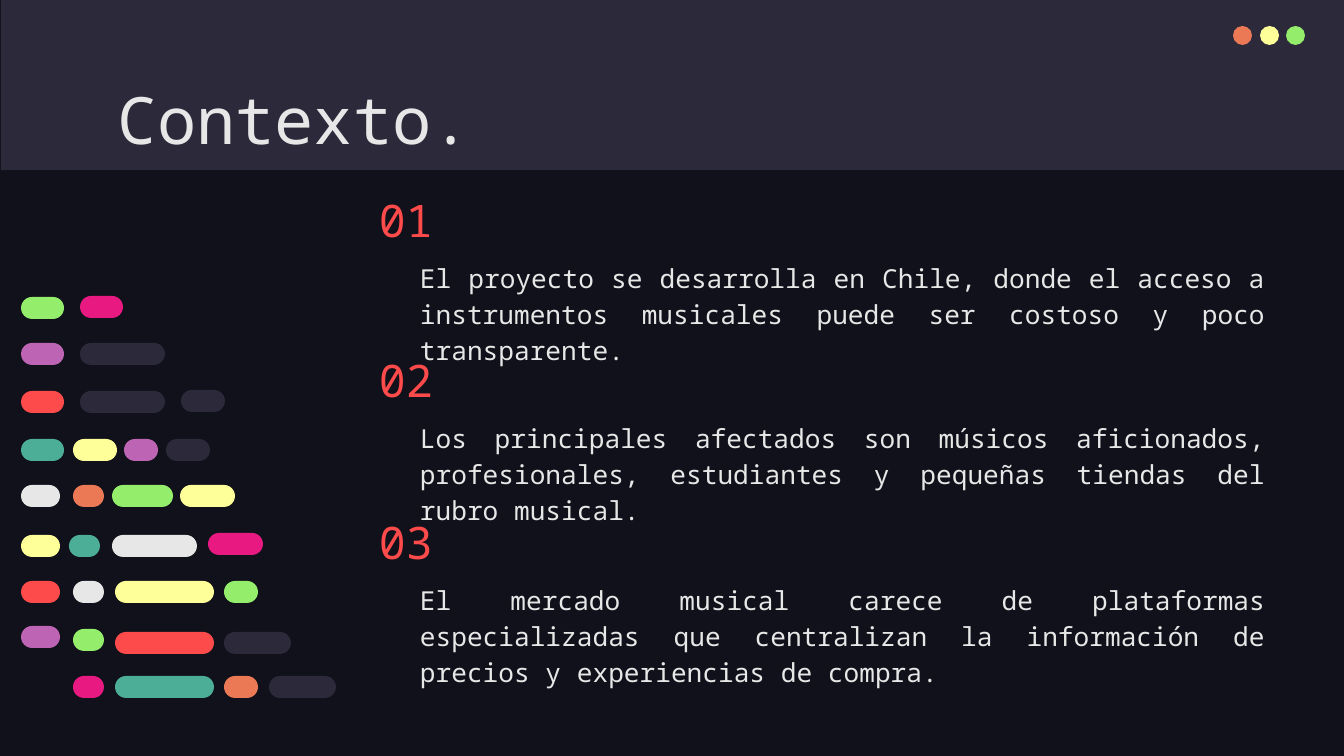
from pptx import Presentation
from pptx.dml.color import RGBColor
from pptx.enum.shapes import MSO_SHAPE as Shape
from pptx.enum.text import MSO_ANCHOR as Anchor, PP_ALIGN as Align
from pptx.util import Inches, Pt

SLIDE_WIDTH, SLIDE_HEIGHT = 1344, 756
EMU_PER_PX = Inches(10) / SLIDE_WIDTH
FONT = "Noto Sans Mono"
INSET = 13

NIGHT, SLATE, WHITE = "10111A", "2C293A", "E7E7E7"
RED, ORANGE, YELLOW, GREEN = "FD4A4A", "EC7955", "FFFF99", "94EE6B"
TEAL, PURPLE, PINK = "4CAE97", "BD64B5", "E81A81"

DOTS = [(1233, ORANGE), (1260, YELLOW), (1286, GREEN)]

# One list per line of code: left, top, width, colour
CODE_LINES = [
    [(21, 297, 43, GREEN), (80, 296, 43, PINK)],
    [(21, 343, 43, PURPLE), (80, 343, 85, SLATE)],
    [(21, 391, 43, RED), (80, 391, 85, SLATE), (181, 390, 44, SLATE)],
    [(21, 439, 43, TEAL), (73, 439, 44, YELLOW), (124, 439, 34, PURPLE),
     (166, 439, 44, SLATE)],
    [(21, 485, 39, WHITE), (73, 485, 31, ORANGE), (112, 485, 61, GREEN),
     (180, 485, 55, YELLOW)],
    [(21, 535, 39, YELLOW), (69, 535, 31, TEAL), (112, 535, 85, WHITE),
     (208, 533, 55, PINK)],
    [(21, 581, 39, RED), (73, 581, 31, WHITE), (115, 581, 99, YELLOW),
     (224, 581, 34, GREEN)],
    [(21, 626, 39, PURPLE), (73, 629, 31, GREEN), (115, 632, 99, RED),
     (224, 632, 67, SLATE)],
    [(73, 676, 31, PINK), (115, 676, 99, TEAL), (224, 676, 34, ORANGE),
     (269, 676, 67, SLATE)],
]

# Top of the number and text of each point
POINTS = [
    (196, "El proyecto se desarrolla en Chile, donde el acceso a instrumentos "
          "musicales puede ser costoso y poco transparente."),
    (356, "Los principales afectados son músicos aficionados, profesionales, "
          "estudiantes y pequeñas tiendas del rubro musical."),
    (518, "El mercado musical carece de plataformas especializadas que "
          "centralizan la información de precios y experiencias de compra."),
]


def px(length):
    return round(length * EMU_PER_PX)


def color(value):
    return RGBColor.from_string(value)


def add_plain_shape(shapes, kind, left, top, width, height, fill):
    shape = shapes.add_shape(kind, px(left), px(top), px(width), px(height))
    shape.shadow.inherit = False
    shape.fill.solid()
    shape.fill.fore_color.rgb = color(fill)
    shape.line.fill.background()
    return shape


def add_text(slide, text, left, top, width, height, size, fill,
             anchor=Anchor.TOP, align=Align.LEFT, line_spacing=None):
    box = slide.shapes.add_textbox(px(left), px(top), px(width), px(height))
    frame = box.text_frame
    frame.word_wrap = True
    frame.vertical_anchor = anchor
    frame.margin_left = frame.margin_right = px(INSET)
    frame.margin_top = frame.margin_bottom = px(INSET)
    frame.text = text
    paragraph = frame.paragraphs[0]
    paragraph.alignment = align
    paragraph.line_spacing = line_spacing
    font = paragraph.runs[0].font
    font.name = FONT
    font.size = Pt(size)
    font.color.rgb = color(fill)


def add_header(slide):
    add_plain_shape(slide.shapes, Shape.RECTANGLE, 1, 0, SLIDE_WIDTH, 170, SLATE)
    dots = slide.shapes.add_group_shape().shapes
    for left, fill in DOTS:
        add_plain_shape(dots, Shape.OVAL, left, 26, 19, 19, fill)
    add_text(slide, "Contexto.", 105, 66, 1133, 85, 35, WHITE)


def add_point(slide, number, top, text):
    add_text(slide, f"{number:02}", 366, top, 89, 48, 24, RED,
             anchor=Anchor.MIDDLE)
    add_text(slide, text, 407, top + 49, 872, 113, 14, WHITE,
             align=Align.JUSTIFY, line_spacing=1.15)


def add_code_lines(slide):
    """Draw coloured pills that look like lines of code."""
    pills = slide.shapes.add_group_shape().shapes
    for line in CODE_LINES:
        for left, top, width, fill in line:
            pill = add_plain_shape(pills, Shape.ROUNDED_RECTANGLE,
                                   left, top, width, 22, fill)
            pill.adjustments[0] = 0.5


def main():
    presentation = Presentation()
    presentation.slide_width = px(SLIDE_WIDTH)
    presentation.slide_height = px(SLIDE_HEIGHT)
    slide = presentation.slides.add_slide(presentation.slide_layouts[6])
    slide.background.fill.solid()
    slide.background.fill.fore_color.rgb = color(NIGHT)

    add_header(slide)
    for number, (top, text) in enumerate(POINTS, start=1):
        add_point(slide, number, top, text)
    add_code_lines(slide)
    presentation.save("out.pptx")


if __name__ == "__main__":
    main()
